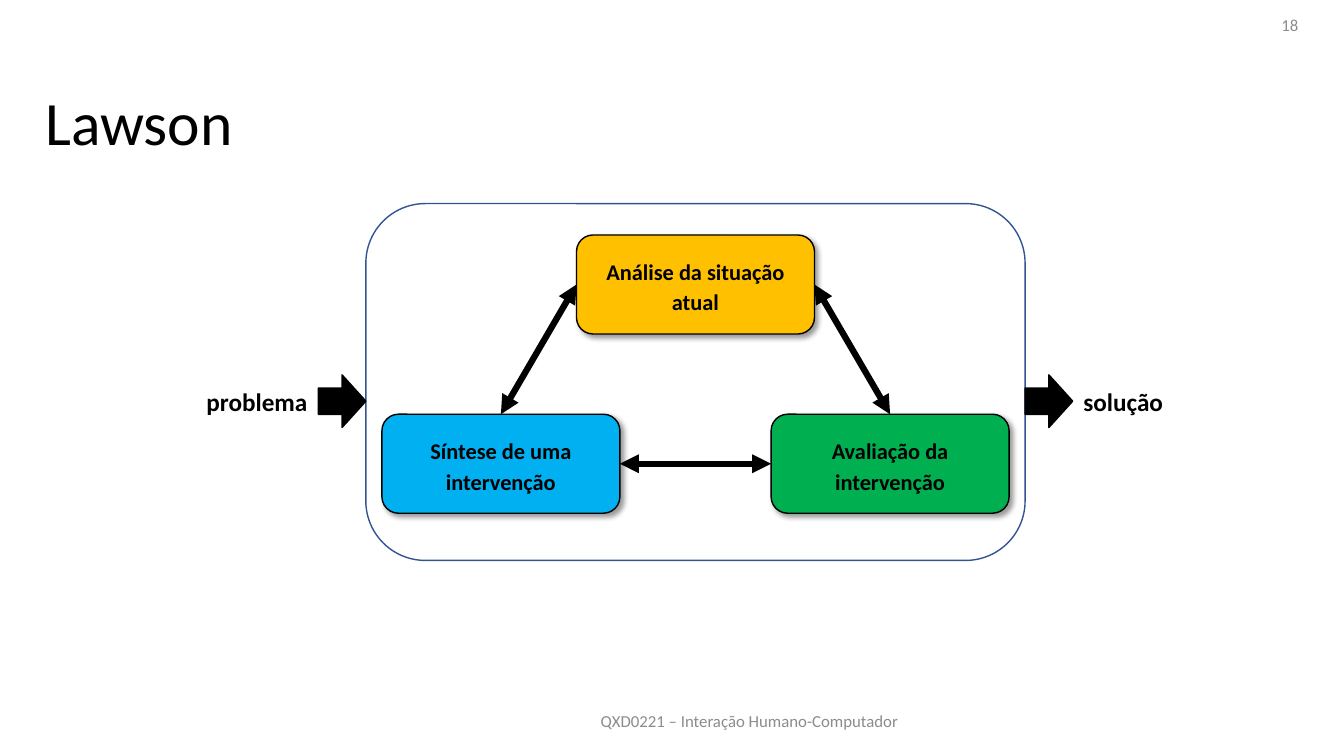
from dataclasses import dataclass

from lxml import etree
from pptx import Presentation
from pptx.dml.color import RGBColor
from pptx.enum.shapes import MSO_CONNECTOR, MSO_SHAPE
from pptx.enum.text import MSO_ANCHOR, PP_ALIGN
from pptx.oxml.ns import qn
from pptx.shapes.autoshape import Shape
from pptx.shapes.connector import Connector
from pptx.slide import Slide
from pptx.util import Pt

ROUNDED, ARROW = MSO_SHAPE.ROUNDED_RECTANGLE, MSO_SHAPE.RIGHT_ARROW
STRAIGHT = MSO_CONNECTOR.STRAIGHT
LEFT, CENTER, RIGHT = PP_ALIGN.LEFT, PP_ALIGN.CENTER, PP_ALIGN.RIGHT
TOP, MIDDLE = MSO_ANCHOR.TOP, MSO_ANCHOR.MIDDLE
SIDE_TOP, SIDE_LEFT, SIDE_RIGHT = 0, 1, 3


@dataclass(frozen=True)
class Theme:
    """Colours, font and type sizes of the slide."""
    font: str = "Calibri"
    ink: str = "000000"
    paper: str = "FFFFFF"
    muted: str = "8C8C8C"
    frame: str = "325491"
    analysis: str = "FFC000"
    synthesis: str = "00B0F0"
    evaluation: str = "00B050"
    title_size: float = 44
    label_size: float = 18
    activity_size: float = 16
    footer_size: float = 12


@dataclass(frozen=True)
class Area:
    """A rectangle in points."""
    left: float
    top: float
    width: float
    height: float


@dataclass(frozen=True)
class Activity:
    """One design activity, centred on x."""
    text: str
    center: float
    top: float
    color: str


@dataclass(frozen=True)
class Exchange:
    """A two-way link between the sides of two activities."""
    source: str
    source_side: int
    target: str
    target_side: int


@dataclass(frozen=True)
class Port:
    """An entry to or exit from the process, with its label."""
    text: str
    arrow_left: float
    label_left: float
    label_width: float


THEME = Theme()
FRAME = Area(261.36, 145.44, 470.88, 254.88)
MIDLINE = FRAME.left + FRAME.width / 2
SPREAD = 139
ACTIVITY_WIDTH, ACTIVITY_HEIGHT = 170, 70.7
UPPER, LOWER = 167.9, 295.9
ARROW_WIDTH, ARROW_HEIGHT, ARROW_TOP = 34, 37.6, 267.8

ACTIVITIES = {
    "analysis": Activity("Análise da situação atual", MIDLINE, UPPER, THEME.analysis),
    "evaluation": Activity("Avaliação da intervenção", MIDLINE + SPREAD, LOWER, THEME.evaluation),
    "synthesis": Activity("Síntese de uma intervenção", MIDLINE - SPREAD, LOWER, THEME.synthesis),
}
EXCHANGES = [
    Exchange("analysis", SIDE_RIGHT, "evaluation", SIDE_TOP),
    Exchange("analysis", SIDE_LEFT, "synthesis", SIDE_TOP),
    Exchange("evaluation", SIDE_LEFT, "synthesis", SIDE_RIGHT),
]
PORTS = [
    Port("problema", FRAME.left - ARROW_WIDTH, 140.4, 87.1),
    Port("solução", FRAME.left + FRAME.width, 766.8, 72),
]


def write(shape: Shape, text: str, *, size: float, color: str = THEME.ink,
          bold: bool = False, align: PP_ALIGN = LEFT, anchor: MSO_ANCHOR = MIDDLE,
          wrap: bool = True, spacing: float = 1.0, after: float = 0) -> None:
    """Write one formatted paragraph into a shape."""
    frame = shape.text_frame
    frame.word_wrap = wrap
    frame.vertical_anchor = anchor
    paragraph = frame.paragraphs[0]
    paragraph.alignment = align
    paragraph.line_spacing = spacing
    paragraph.space_after = Pt(after)
    run = paragraph.add_run()
    run.text = text
    run.font.name = THEME.font
    run.font.size = Pt(size)
    run.font.bold = bold
    run.font.color.rgb = RGBColor.from_string(color)


def add_text_area(slide: Slide, area: Area) -> Shape:
    """Add an empty text box."""
    return slide.shapes.add_textbox(Pt(area.left), Pt(area.top), Pt(area.width), Pt(area.height))


def add_block(slide: Slide, kind: MSO_SHAPE, area: Area, fill: str, line: str) -> Shape:
    """Add a filled and outlined shape without shadow."""
    block = slide.shapes.add_shape(kind, Pt(area.left), Pt(area.top), Pt(area.width), Pt(area.height))
    block.shadow.inherit = False
    block.fill.solid()
    block.fill.fore_color.rgb = RGBColor.from_string(fill)
    block.line.color.rgb = RGBColor.from_string(line)
    block.line.width = Pt(1)
    return block


def cast_shadow(shape: Shape) -> None:
    """Give a shape a soft shadow to the lower right."""
    effects = shape.element.spPr.find(qn("a:effectLst"))
    shadow = etree.SubElement(effects, qn("a:outerShdw"), blurRad=str(Pt(4)), dist=str(Pt(3)),
                              dir="2700000", algn="tl", rotWithShape="0")
    color = etree.SubElement(shadow, qn("a:srgbClr"), val=THEME.ink)
    etree.SubElement(color, qn("a:alpha"), val="40000")


def add_activity(slide: Slide, activity: Activity) -> Shape:
    """Draw one activity of the process."""
    area = Area(activity.center - ACTIVITY_WIDTH / 2, activity.top, ACTIVITY_WIDTH, ACTIVITY_HEIGHT)
    box = add_block(slide, ROUNDED, area, activity.color, THEME.ink)
    cast_shadow(box)
    write(box, activity.text, size=THEME.activity_size, bold=True, align=CENTER,
          spacing=1.15, after=10)
    return box


def add_exchange(slide: Slide, boxes: dict[str, Shape], exchange: Exchange) -> Connector:
    """Join two activities with a double-headed arrow."""
    link = slide.shapes.add_connector(STRAIGHT, Pt(0), Pt(0), Pt(0), Pt(0))
    link.begin_connect(boxes[exchange.source], exchange.source_side)
    link.end_connect(boxes[exchange.target], exchange.target_side)
    link.line.color.rgb = RGBColor.from_string(THEME.ink)
    link.line.width = Pt(4.5)
    properties = link.element.spPr
    for end in ("a:headEnd", "a:tailEnd"):
        etree.SubElement(properties.find(qn("a:ln")), qn(end), type="triangle")
    etree.SubElement(properties, qn("a:effectLst"))
    return link


def add_port(slide: Slide, port: Port) -> None:
    """Draw the block arrow and label of a port."""
    area = Area(port.arrow_left, ARROW_TOP, ARROW_WIDTH, ARROW_HEIGHT)
    add_block(slide, ARROW, area, THEME.ink, THEME.ink)
    label = add_text_area(slide, Area(port.label_left, 272.2, port.label_width, 29.1))
    write(label, port.text, size=THEME.label_size, bold=True, anchor=TOP, wrap=False)


def main() -> None:
    """Build and save the slide."""
    deck = Presentation()
    deck.slide_width, deck.slide_height = Pt(960), Pt(540)
    slide = deck.slides.add_slide(deck.slide_layouts[6])
    add_block(slide, ROUNDED, FRAME, THEME.paper, THEME.frame)
    write(add_text_area(slide, Area(25.2, 46.8, 907.9, 86.4)), "Lawson",
          size=THEME.title_size, spacing=0.9)
    write(add_text_area(slide, Area(251.3, 500.4, 568.1, 28.8)),
          "QXD0221 – Interação Humano-Computador",
          size=THEME.footer_size, color=THEME.muted, align=CENTER)
    write(add_text_area(slide, Area(718.6, 3.6, 216, 28.8)), "18",
          size=THEME.footer_size, color=THEME.muted, align=RIGHT)
    boxes = {key: add_activity(slide, activity) for key, activity in ACTIVITIES.items()}
    for exchange in EXCHANGES:
        add_exchange(slide, boxes, exchange)
    for port in PORTS:
        add_port(slide, port)
    deck.save("out.pptx")


if __name__ == "__main__":
    main()
